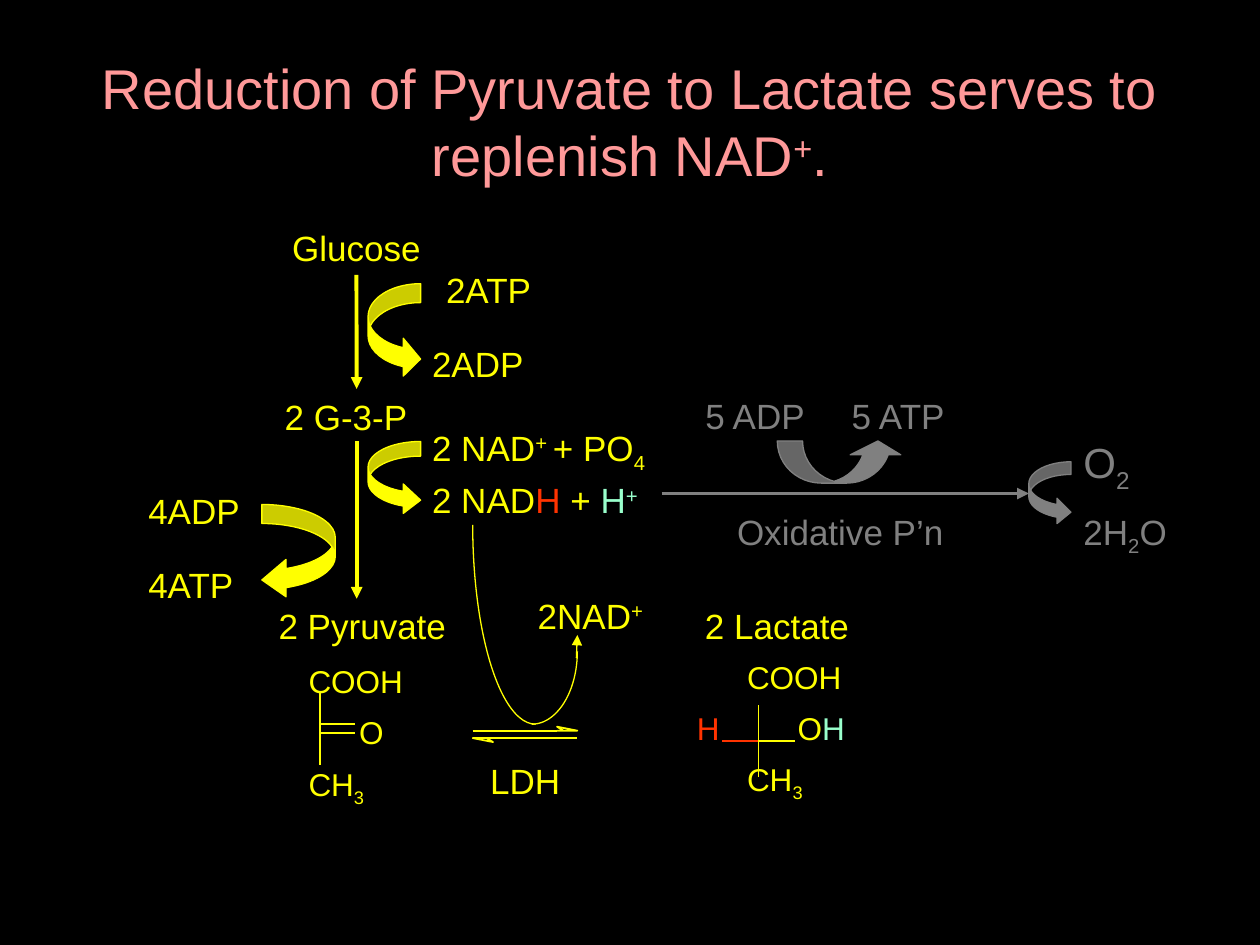
import pptx
import pptx.dml.color
import pptx.enum.shapes
import pptx.enum.text
import pptx.oxml.ns
import pptx.util
from lxml import etree

Cm = pptx.util.Cm
Pt = pptx.util.Pt
RGBColor = pptx.dml.color.RGBColor
SHAPE = pptx.enum.shapes.MSO_SHAPE
ALIGN = pptx.enum.text.PP_ALIGN
ANCHOR = pptx.enum.text.MSO_ANCHOR
qn = pptx.oxml.ns.qn

BLACK = RGBColor(0x00, 0x00, 0x00)
PINK = RGBColor(0xFF, 0x99, 0x99)
YELLOW = RGBColor(0xFF, 0xFF, 0x00)
RED = RGBColor(0xFF, 0x33, 0x00)
MINT = RGBColor(0x99, 0xFF, 0xCC)
GRAY = RGBColor(0x80, 0x80, 0x80)
SUP, SUB = 30000, -25000


def add_label(s, x, y, w, runs, color=YELLOW, size=20, h=1.09, align=ALIGN.LEFT, inset=True):
    """Add a text box; runs is a string or a list of (text, baseline, color)."""
    sp = s.shapes.add_textbox(Cm(x), Cm(y), Cm(w), Cm(h))
    tf = sp.text_frame
    tf.word_wrap = True
    if not inset:
        tf.margin_left = tf.margin_right = tf.margin_top = tf.margin_bottom = 0
    p = tf.paragraphs[0]
    p.alignment = align
    for text, baseline, run_color in [(runs, 0, color)] if isinstance(runs, str) else runs:
        r = p.add_run()
        r.text = text
        r.font.name = "Arial"
        r.font.size = Pt(size)
        r.font.color.rgb = run_color
        if baseline:
            r._r.get_or_add_rPr().set("baseline", str(baseline))
    return sp


def add_line(s, x1, y1, x2, y2, color=YELLOW, width=1, arrow=False):
    """Add a straight line, optionally ending in an arrowhead."""
    line = s.shapes.add_connector(pptx.enum.shapes.MSO_CONNECTOR.STRAIGHT, Cm(x1), Cm(y1), Cm(x2), Cm(y2))
    line.line.color.rgb = color
    line.line.width = Pt(width)
    if arrow:
        etree.SubElement(line.line._get_or_add_ln(), qn("a:tailEnd"), type="triangle")
    etree.SubElement(line._element.spPr, qn("a:effectLst"))
    return line


def add_preset(s, kind, x, y, w, h, adjustments, color=YELLOW, filled=True):
    """Add a preset shape with the given adjustments."""
    sp = s.shapes.add_shape(kind, Cm(x), Cm(y), Cm(w), Cm(h))
    sp.shadow.inherit = False
    for i, value in enumerate(adjustments):
        sp.adjustments[i] = value
    if filled:
        sp.fill.solid()
        sp.fill.fore_color.rgb = color
    else:
        sp.fill.background()
    sp.line.color.rgb = color
    sp.line.width = Pt(0.75)
    return sp


def add_arc(s, cx, cy, rx, ry, start, end):
    """Add an elliptical arc around a centre, with angles in degrees."""
    angles = [start * 0.6, end * 0.6]
    return add_preset(s, SHAPE.ARC, cx - rx, cy - ry, 2 * rx, 2 * ry, angles, filled=False)


def add_title(s, x, y, w, h):
    """Add the slide title."""
    runs = [("Reduction of Pyruvate to Lactate serves to replenish NAD", 0, PINK),
            ("+", SUP, PINK), (".", 0, PINK)]
    sp = add_label(s, x, y, w, runs, size=32, h=h, align=ALIGN.CENTER)
    sp.text_frame.vertical_anchor = ANCHOR.MIDDLE


def add_glycolysis(s, x, y):
    """Add the pathway from glucose down to pyruvate."""
    glucose = add_label(s, x + 1.27, y, 6.35, "Glucose", align=ALIGN.CENTER)
    add_label(s, x + 1.27, y + 3.39, 5.93, "2 G-3-P", align=ALIGN.CENTER)
    first = add_line(s, x + 4.45, y + 1.06, x + 4.45, y + 3.39, width=2.25, arrow=True)
    first.begin_connect(glucose, 2)
    add_line(s, x + 4.45, y + 4.45, x + 4.45, y + 7.62, width=2.25, arrow=True)
    add_preset(s, SHAPE.CURVED_RIGHT_ARROW, x + 4.68, y + 1.27, 1.06, 1.9, [0.36, 0.72, 0.33])
    add_preset(s, SHAPE.CURVED_RIGHT_ARROW, x + 4.68, y + 4.45, 1.06, 1.48, [0.28, 0.56, 0.33])
    add_preset(s, SHAPE.CURVED_LEFT_ARROW, x + 2.54, y + 5.72, 1.48, 1.9, [0.26, 0.51, 0.33])
    add_label(s, x, y + 5.29, 2.96, "4ADP")
    add_label(s, x, y + 6.79, 2.34, "4ATP")
    add_label(s, x + 5.31, y + 0.84, 3.6, "2ATP", align=ALIGN.CENTER)
    add_label(s, x + 5.72, y + 2.33, 2.6, "2ADP")
    add_label(s, x + 5.72, y + 4.02, 5.08, [
        ("2 NAD", 0, YELLOW), ("+ ", SUP, YELLOW), ("+ PO", 0, YELLOW), ("4", SUB, YELLOW)])
    add_label(s, x + 5.72, y + 5.08, 5.08, [
        ("2 NAD", 0, YELLOW), ("H", 0, RED), (" + ", 0, YELLOW), ("H", 0, MINT), ("+", SUP, MINT)])


def add_oxidative(s, x, y):
    """Add the gray oxidative phosphorylation branch."""
    add_line(s, x, y + 2.12, x + 7.4, y + 2.12, GRAY, 2.25, arrow=True)
    add_preset(s, SHAPE.CURVED_UP_ARROW, x + 2.33, y + 1.06, 2.54, 0.85, [0.6, 1.2, 0.33], GRAY)
    add_preset(s, SHAPE.CURVED_RIGHT_ARROW, x + 7.4, y + 1.48, 0.85, 1.27, [0.3, 0.6, 0.33], GRAY)
    add_label(s, x + 0.63, y, 2.75, "5 ADP", GRAY)
    add_label(s, x + 3.58, y, 3.8, "5 ATP", GRAY)
    add_label(s, x, y + 2.33, 7.2, "Oxidative P’n", GRAY, align=ALIGN.CENTER)
    add_label(s, x + 8.25, y + 0.85, 3.39, [("O", 0, GRAY), ("2", SUB, GRAY)], size=24, h=1.28)
    add_label(s, x + 8.25, y + 2.33, 3.18, [("2H", 0, GRAY), ("2", SUB, GRAY), ("O", 0, GRAY)])


def add_ldh(s, x, y):
    """Add the LDH equilibrium and the curve that returns NAD."""
    width, top, bottom = 2.11, 4.15, 4.3
    add_line(s, x, y + top, x + 1.7, y + top)
    add_line(s, x + 0.41, y + bottom, x + width, y + bottom)
    for tip, level, sign in ((x + width, y + top, 1), (x, y + bottom, -1)):
        points = [(Cm(tip - sign * dx), Cm(level - sign * dy))
                  for dx, dy in ((0.41, 0), (0.28, 0), (0.41, 0.08), (0, 0))]
        builder = s.shapes.build_freeform(*points[0], scale=1.0)
        builder.add_line_segments(points[1:], close=True)
        barb = builder.convert_to_shape()
        barb.shadow.inherit = False
        barb.fill.solid()
        barb.fill.fore_color.rgb = BLACK
        barb.line.color.rgb = YELLOW
        barb.line.width = Pt(1)
    add_arc(s, x + 1.27, y, 1.27, 4.02, 90, 180)
    add_arc(s, x + 1.19, y + 2.55, 0.92, 1.47, 0, 90)
    add_line(s, x + 2.09, y + 2.68, x + width, y + 2.22, width=0.75, arrow=True)
    add_label(s, x + 1.06, y + 1.28, 2.97, [("2NAD", 0, YELLOW), ("+", SUP, YELLOW)])
    add_label(s, x - 0.21, y + 4.61, 2.54, "LDH", align=ALIGN.CENTER)


def add_atoms(s, x, y, runs, color=YELLOW):
    """Add chemical symbols without margins."""
    add_label(s, x, y, 2, runs, color, 18, 0.76, inset=False)


def add_skeleton(s, x, y, bond_top, methyl_top):
    """Add the carboxyl, vertical bond and methyl of a molecule."""
    add_line(s, x + 0.23, y + bond_top, x + 0.23, y + bond_top + 1.45)
    add_atoms(s, x, y, "COOH")
    add_atoms(s, x, y + methyl_top, [("CH", 0, YELLOW), ("3", SUB, YELLOW)])


def add_pyruvate(s, x, y):
    """Add pyruvate with its name and double-bonded oxygen."""
    add_label(s, x - 1.35, y - 1.27, 4.87, "2 Pyruvate", align=ALIGN.CENTER)
    add_skeleton(s, x, y, 0.63, 2.08)
    for bond_y in (1.26, 1.44):
        add_line(s, x + 0.26, y + bond_y, x + 0.94, y + bond_y)
    add_atoms(s, x + 1.02, y + 1.04, "O")


def add_lactate(s, x, y):
    """Add lactate with its name, hydrogen and hydroxyl."""
    add_label(s, x - 1.72, y - 1.19, 4.65, "2 Lactate", align=ALIGN.CENTER)
    add_skeleton(s, x, y, 0.96, 2.06)
    add_line(s, x + 0.23, y + 1.68, x - 0.5, y + 1.68, RED)
    add_line(s, x + 0.23, y + 1.68, x + 0.97, y + 1.68)
    add_atoms(s, x - 1.01, y + 1.04, "H", RED)
    add_atoms(s, x + 1.02, y + 1.04, [("O", 0, YELLOW), ("H", 0, MINT)])


def main():
    """Build and save the slide."""
    prs = pptx.Presentation()
    prs.slide_width, prs.slide_height = Cm(25.4), Cm(19.05)
    s = prs.slides.add_slide(prs.slide_layouts[6])
    s.background.fill.solid()
    s.background.fill.fore_color.rgb = BLACK
    add_title(s, 1.27, 0.85, 22.86, 3.18)
    add_glycolysis(s, 2.74, 4.45)
    add_oxidative(s, 13.34, 7.83)
    add_pyruvate(s, 6.22, 13.34)
    add_ldh(s, 9.53, 10.58)
    add_lactate(s, 15.06, 13.26)
    prs.save("out.pptx")


if __name__ == "__main__":
    main()
